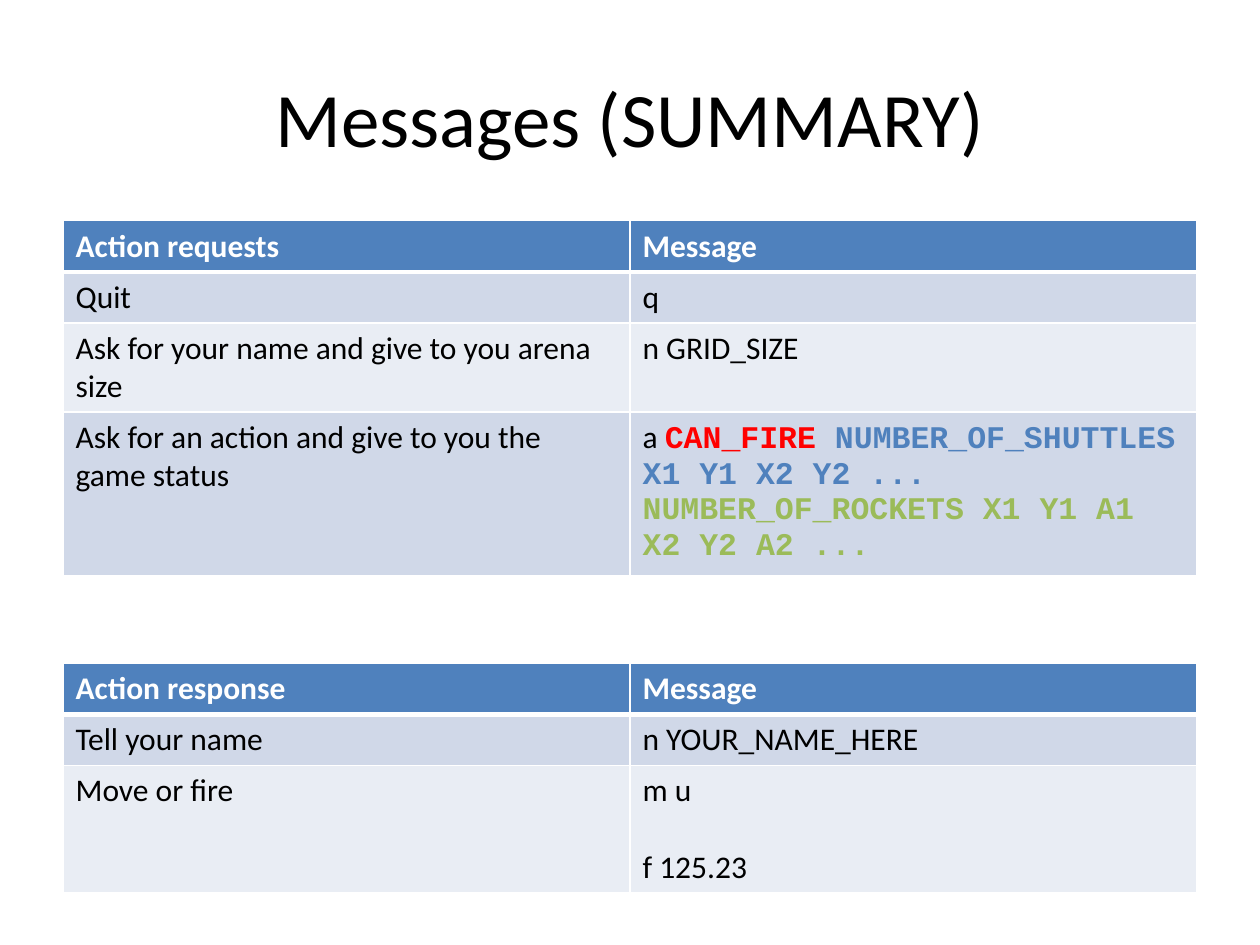
from lxml.etree import SubElement
from pptx import Presentation
from pptx.dml.color import RGBColor
from pptx.enum.text import MSO_ANCHOR as Anchor, PP_ALIGN as Align
from pptx.oxml.ns import qn
from pptx.util import Cm, Pt

COLORS = {
    "black": "000000", "white": "FFFFFF", "red": "FF0000",
    "blue": "4F81BD", "green": "9BBB59",
    "odd_row": "D0D8E8", "even_row": "E9EDF4",
}

# Content: a cell is a list of paragraphs, a paragraph a list of (text, code color)
TITLE = "Messages (SUMMARY)"


def plain(*lines):
    return [[(line, None)] for line in lines]


STATUS_MESSAGE = [[
    ("a ", None),
    ("CAN_FIRE ", "red"),
    ("NUMBER_OF_SHUTTLES X1 Y1 X2 Y2 ... ", "blue"),
    ("NUMBER_OF_ROCKETS X1 Y1 A1 X2 Y2 A2 ...", "green"),
]]
# Each table: top in cm, then rows of (height in cm, left cell, right cell)
TABLES = [
    (4.45, [
        (1.03, plain("Action requests"), plain("Message")),
        (1.03, plain("Quit"), plain("q")),
        (1.8, plain("Ask for your name and give to you arena size"),
         plain("n GRID_SIZE")),
        (3.2, plain("Ask for an action and give to you the game status"),
         STATUS_MESSAGE),
    ]),
    (13.37, [
        (1.03, plain("Action response"), plain("Message")),
        (1.03, plain("Tell your name"), plain("n YOUR_NAME_HERE")),
        (2.56, plain("Move or fire"), plain("m u", "f 125.23")),
    ]),
]
LEFT, WIDTH = 1.27, 22.86
LINE_GAP = 22  # points, one line of body text


def rgb(name):
    return RGBColor.from_string(COLORS[name])


def set_font(font, size, color, name="Calibri", bold=False):
    font.size, font.name, font.bold = Pt(size), name, bold
    font.color.rgb = rgb(color)


def set_borders(cell, row_index):
    """White rules, with a thicker one under the header row."""
    widths = {"lnL": 1, "lnR": 1,
              "lnT": 3 if row_index == 1 else 1,
              "lnB": 3 if row_index == 0 else 1}
    properties = cell._tc.get_or_add_tcPr()
    for position, (side, width) in enumerate(widths.items()):
        line = SubElement(properties, qn(f"a:{side}"), w=str(Pt(width)))
        fill = SubElement(line, qn("a:solidFill"))
        SubElement(fill, qn("a:srgbClr"), val=COLORS["white"])
        properties.insert(position, line)


def fill_cell(cell, paragraphs, row_index):
    header = row_index == 0
    cell.fill.solid()
    cell.fill.fore_color.rgb = rgb(
        "blue" if header else "odd_row" if row_index % 2 else "even_row")
    set_borders(cell, row_index)
    for index, runs in enumerate(paragraphs):
        frame = cell.text_frame
        paragraph = frame.add_paragraph() if index else frame.paragraphs[0]
        if index:
            paragraph.space_before = Pt(LINE_GAP)
        set_font(paragraph.font, 18, "white" if header else "black", bold=header)
        for text, code_color in runs:
            run = paragraph.add_run()
            run.text = text
            if code_color:
                set_font(run.font, 18, code_color, "Courier New", True)
            else:
                set_font(run.font, 18, "white" if header else "black", bold=header)


presentation = Presentation()
presentation.slide_width, presentation.slide_height = Cm(25.4), Cm(19.05)
slide = presentation.slides.add_slide(presentation.slide_layouts[6])

# Title
title = slide.shapes.add_textbox(Cm(LEFT), Cm(0.76), Cm(WIDTH), Cm(3.18))
title.text_frame.word_wrap = True
title.text_frame.vertical_anchor = Anchor.MIDDLE
paragraph = title.text_frame.paragraphs[0]
paragraph.text = TITLE
paragraph.alignment = Align.CENTER
set_font(paragraph.font, 44, "black")

# Message tables
for top, rows in TABLES:
    height = sum(row[0] for row in rows)
    table = slide.shapes.add_table(
        len(rows), 2, Cm(LEFT), Cm(top), Cm(WIDTH), Cm(height)).table
    for row_index, (row_height, *cells) in enumerate(rows):
        table.rows[row_index].height = Cm(row_height)
        for column_index, paragraphs in enumerate(cells):
            fill_cell(table.cell(row_index, column_index), paragraphs, row_index)

presentation.save("out.pptx")
